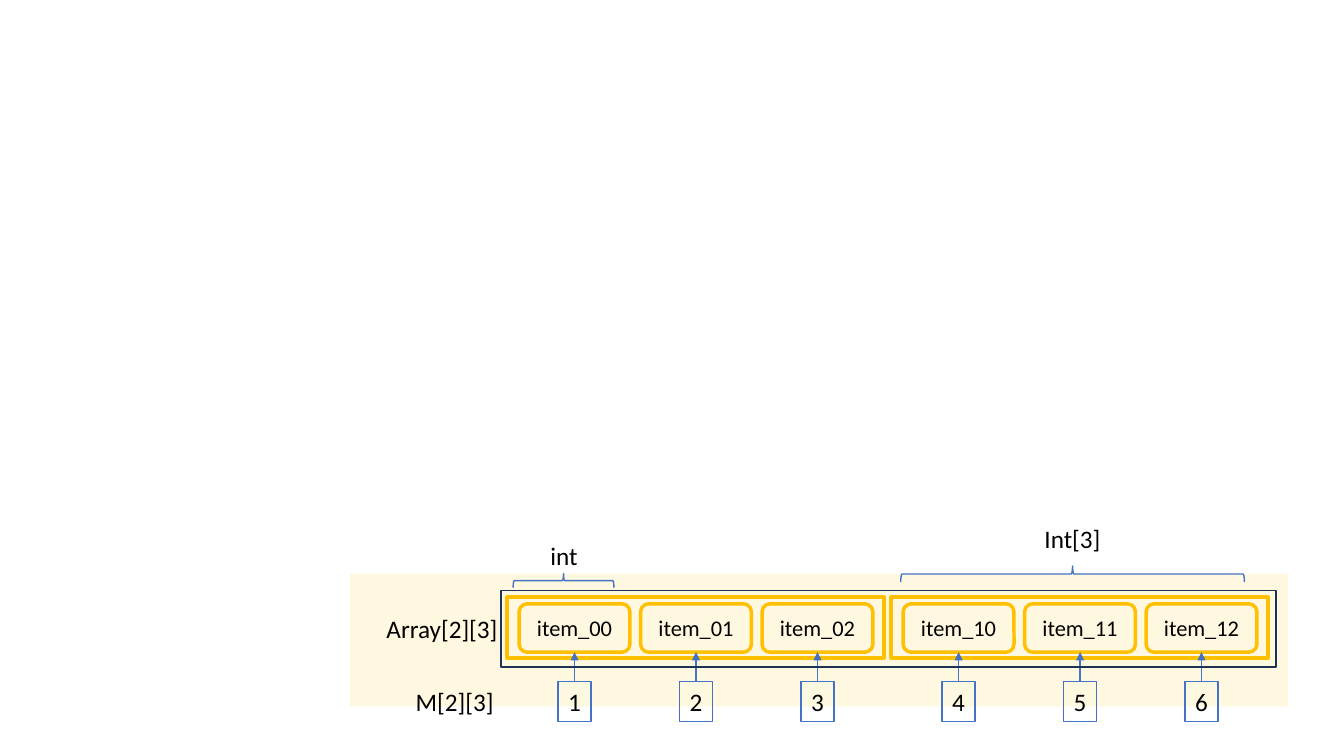
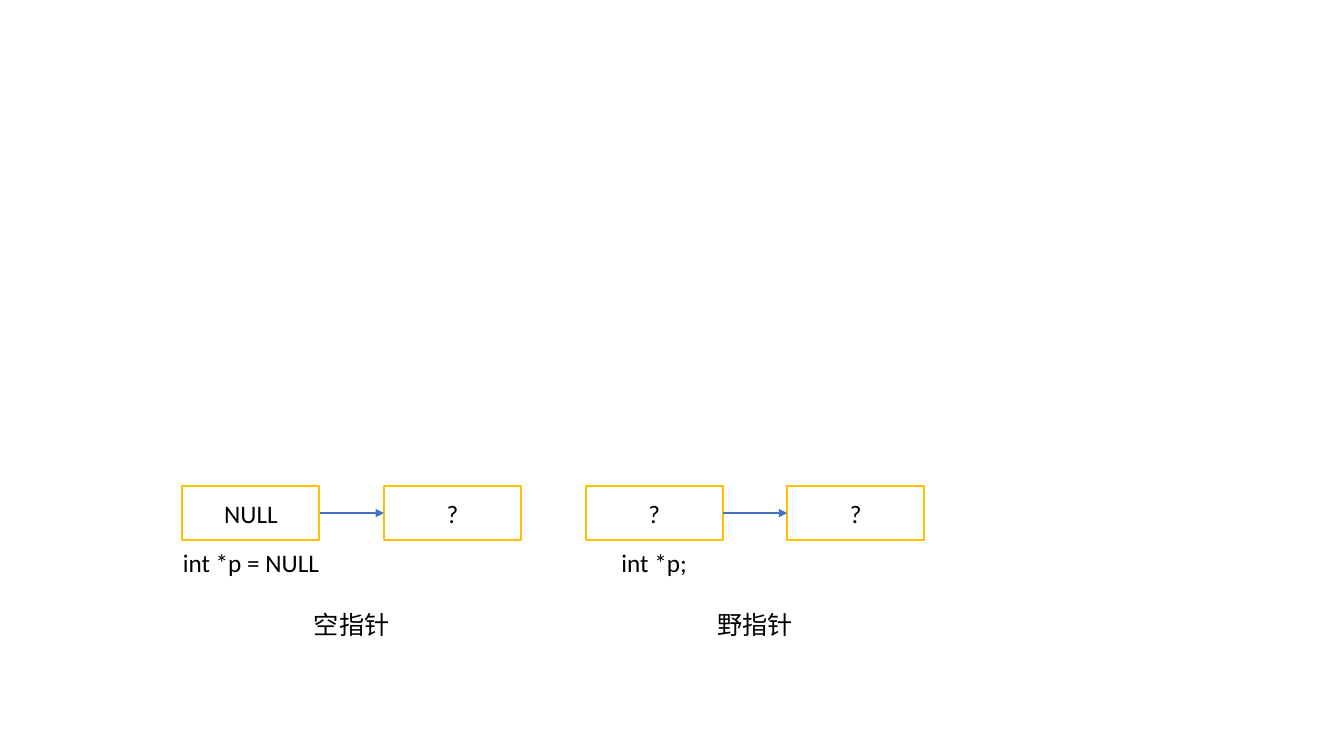
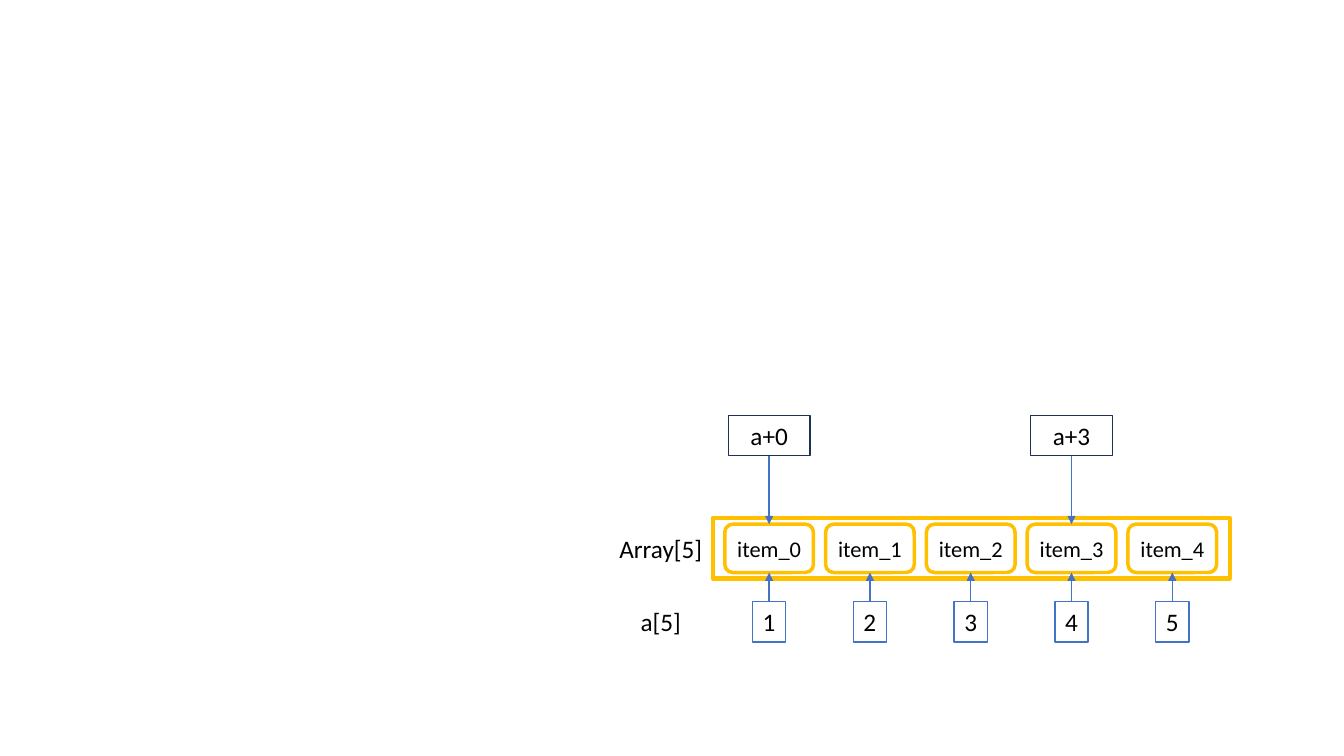
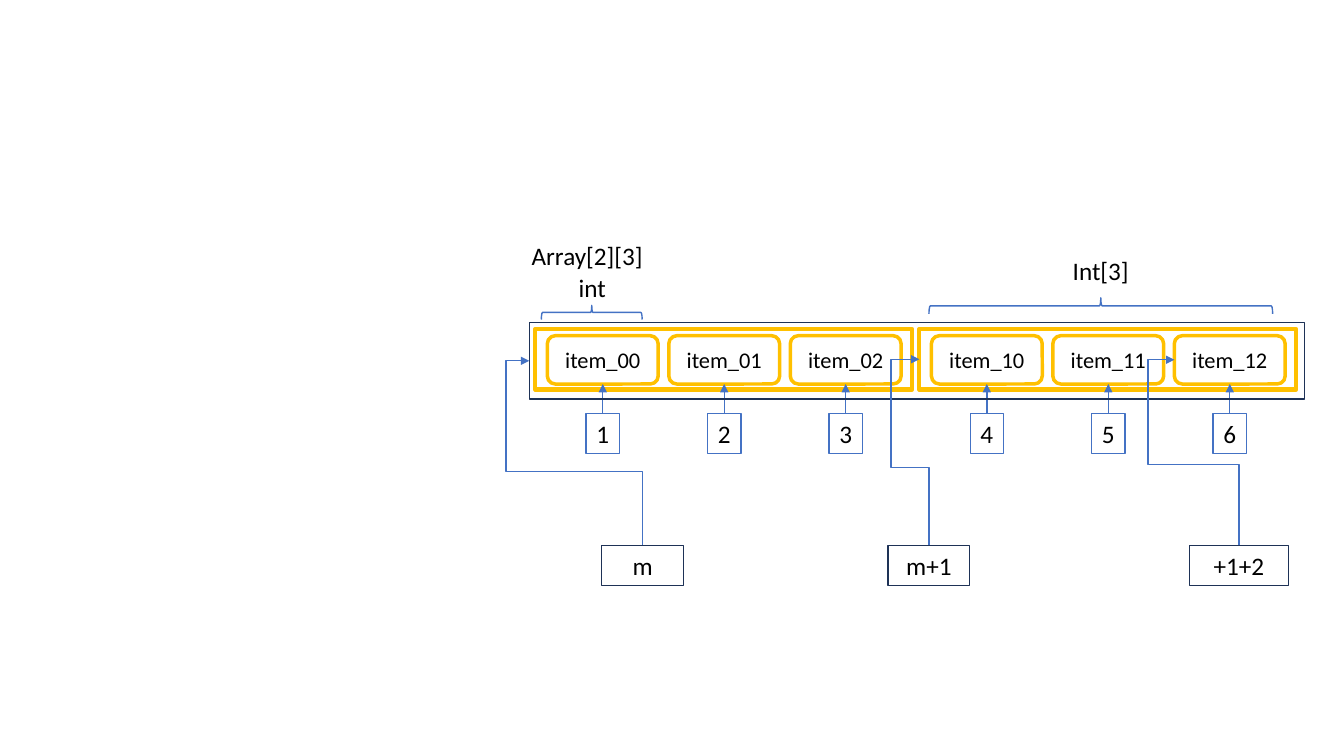
import pptx
import pptx.dml.color
import pptx.enum.shapes
import pptx.enum.text
import pptx.oxml
import pptx.oxml.ns
import pptx.util

CELL = pptx.util.Inches(0.1)
COLUMNS, ROWS = 133.33, 75

GOLD = pptx.dml.color.RGBColor(0xFF, 0xC0, 0x00)
CREAM = pptx.dml.color.RGBColor(0xFF, 0xF8, 0xE0)
BLUE = pptx.dml.color.RGBColor(0x44, 0x72, 0xC4)
NAVY = pptx.dml.color.RGBColor(0x1E, 0x32, 0x56)
BLACK = pptx.dml.color.RGBColor(0x00, 0x00, 0x00)

FONT = "Calibri"
BODY, SMALL = 18, 16
SHAPE = pptx.enum.shapes.MSO_SHAPE
LINK = pptx.enum.shapes.MSO_CONNECTOR
TOP, LEFT, BOTTOM, RIGHT = range(4)
NAMESPACE = pptx.oxml.ns.nsdecls("a")


def grid(*lengths):
    return [pptx.util.Emu(round(length * CELL)) for length in lengths]


class Diagram:
    """Draw memory diagrams on a grid of tenth-inch columns and rows."""

    def __init__(self):
        self.deck = pptx.Presentation()
        self.deck.slide_width, self.deck.slide_height = grid(COLUMNS, ROWS)
        self.page = None

    def new_page(self):
        self.page = self.deck.slides.add_slide(self.deck.slide_layouts[6])

    def set_text(self, box, text, size=BODY):
        frame = box.text_frame
        frame.text = text
        frame.word_wrap = False
        frame.vertical_anchor = pptx.enum.text.MSO_ANCHOR.MIDDLE
        para = frame.paragraphs[0]
        para.alignment = pptx.enum.text.PP_ALIGN.CENTER
        span = para.runs[0]
        span.font.name = FONT
        span.font.size = pptx.util.Pt(size)
        span.font.color.rgb = BLACK

    def box(self, column, row, width, height, color, weight=1, text="",
            size=BODY, kind=SHAPE.RECTANGLE):
        box = self.page.shapes.add_shape(kind, *grid(column, row, width, height))
        box.shadow.inherit = False
        box.fill.background()
        box.line.color.rgb = color
        box.line.width = pptx.util.Pt(weight)
        if text:
            self.set_text(box, text, size)
        return box

    def panel(self, column, row, width, height):
        panel = self.box(column, row, width, height, CREAM)
        panel.fill.solid()
        panel.fill.fore_color.rgb = CREAM
        panel.line.fill.background()

    def label(self, column, row, width, text):
        box = self.page.shapes.add_textbox(*grid(column, row, width, 4))
        self.set_text(box, text)

    def brace(self, center, middle, span, depth):
        brace = self.box(center - depth / 2, middle - span / 2, depth, span,
                         BLUE, kind=SHAPE.LEFT_BRACE)
        brace.rotation = 90

    def finish_arrow(self, arrow):
        arrow.line.color.rgb = BLUE
        arrow.line.width = pptx.util.Pt(1)
        arrow.get_or_add_ln().append(
            pptx.oxml.parse_xml(f'<a:tailEnd {NAMESPACE} type="triangle"/>'))
        arrow._element.spPr.append(
            pptx.oxml.parse_xml(f"<a:effectLst {NAMESPACE}/>"))

    def arrow(self, source, source_side, target, target_side):
        arrow = self.page.shapes.add_connector(LINK.STRAIGHT, 0, 0, 0, 0)
        arrow.begin_connect(source, source_side)
        arrow.end_connect(target, target_side)
        self.finish_arrow(arrow)

    def elbow(self, source, target, lane_column, lane_row):
        start_x, start_y = source.left + source.width / 2, source.top
        end_x, end_y = target.left, target.top + target.height / 2
        across, rise = start_x - end_x, start_y - end_y
        center_x, center_y = (start_x + end_x) / 2, (start_y + end_y) / 2
        arrow = self.page.shapes.add_connector(
            LINK.ELBOW,
            round(center_x - rise / 2), round(center_y + across / 2),
            round(center_x + rise / 2), round(center_y - across / 2))
        lane_x, lane_y = grid(lane_column, lane_row)
        properties = arrow._element.spPr
        properties.find(pptx.oxml.ns.qn("a:xfrm")).set("rot", str(270 * 60000))
        geometry = properties.find(pptx.oxml.ns.qn("a:prstGeom"))
        geometry.set("prst", "bentConnector4")
        guides = geometry.find(pptx.oxml.ns.qn("a:avLst"))
        shares = (start_y - lane_y) / rise, (start_x - lane_x) / across
        for number, share in enumerate(shares, 1):
            guides.append(pptx.oxml.parse_xml(
                f'<a:gd {NAMESPACE} name="adj{number}" '
                f'fmla="val {round(share * 100000)}"/>'))
        self.finish_arrow(arrow)

    def items(self, column, row, width, pitch, names, first_value, drop):
        cells = []
        for index, name in enumerate(names):
            left = column + index * pitch
            cell = self.box(left, row, width, 4.8, GOLD, 2.5, name, SMALL,
                            SHAPE.ROUNDED_RECTANGLE)
            value = self.box(left + (width - 3.3) / 2, row + drop, 3.3, 4,
                             BLUE, text=str(first_value + index))
            self.arrow(value, TOP, cell, BOTTOM)
            cells.append(cell)
        return cells

    def matrix(self, column, row):
        for line in range(2):
            left = column + 0.6 + line * 38.1
            inner = self.box(left, row + 0.65, 37.4, 6, GOLD, 3)
            names = [f"item_{line}{index}" for index in range(3)]
            cells = self.items(left + 1.2, row + 1.3, 11, 12.05, names,
                               1 + line * 3, 7.7)
        self.brace(column + 6.2, row - 1, 10, 1.4)
        self.label(column + 3.9, row - 5.5, 4.7, "int")
        self.brace(column + 56.7, row - 1.65, 34.1, 1.6)
        self.label(column + 52.9, row - 7.2, 7.6, "Int[3]")
        outer = self.box(column, row, 76.9, 7.6, NAVY)
        return outer, inner, cells[-1]

    def pointer(self, column, value, code, caption):
        source = self.box(column, 48.2, 13.6, 5.4, GOLD, 1.5, value)
        target = self.box(column + 20, 48.2, 13.6, 5.4, GOLD, 1.5, "?")
        self.arrow(source, RIGHT, target, LEFT)
        self.label(column - 1, 53.8, 15.6, code)
        self.label(column + 12, 59.9, 9.6, caption)


def main():
    diagram = Diagram()

    diagram.new_page()
    diagram.panel(34.7, 56.9, 93.1, 13.2)
    diagram.label(37.3, 60.3, 13.1, "Array[2][3]")
    diagram.label(40.2, 67.6, 9.8, "M[2][3]")
    diagram.matrix(49.7, 58.6)

    diagram.new_page()
    diagram.pointer(18.1, "NULL", "int *p = NULL", "空指针")
    diagram.pointer(58.1, "?", "int *p;", "野指针")

    diagram.new_page()
    diagram.box(70.7, 51.4, 51.3, 6, GOLD, 3)
    names = [f"item_{index}" for index in range(5)]
    cells = diagram.items(71.9, 52, 8.8, 10, names, 1, 7.7)
    diagram.label(60.4, 52.4, 10.3, "Array[5]")
    diagram.label(62.5, 59.7, 6.1, "a[5]")
    for offset in (0, 3):
        address = diagram.box(72.25 + offset * 10, 41.2, 8.1, 4, NAVY,
                              text=f"a+{offset}")
        diagram.arrow(address, BOTTOM, cells[offset], TOP)

    diagram.new_page()
    diagram.label(51.7, 23.3, 13.1, "Array[2][3]")
    targets = diagram.matrix(52.5, 32)
    addresses = [(59.7, 8.1, "m", 50.2, 46.8),
                 (88.1, 8.1, "m+1", 88.4, 46.4),
                 (118, 9.8, "+1+2", 113.9, 46.1)]
    for target, (column, width, text, *lane) in zip(targets, addresses):
        address = diagram.box(column, 54.1, width, 4, NAVY, text=text)
        diagram.elbow(address, target, *lane)

    diagram.deck.save("out.pptx")


if __name__ == "__main__":
    main()
